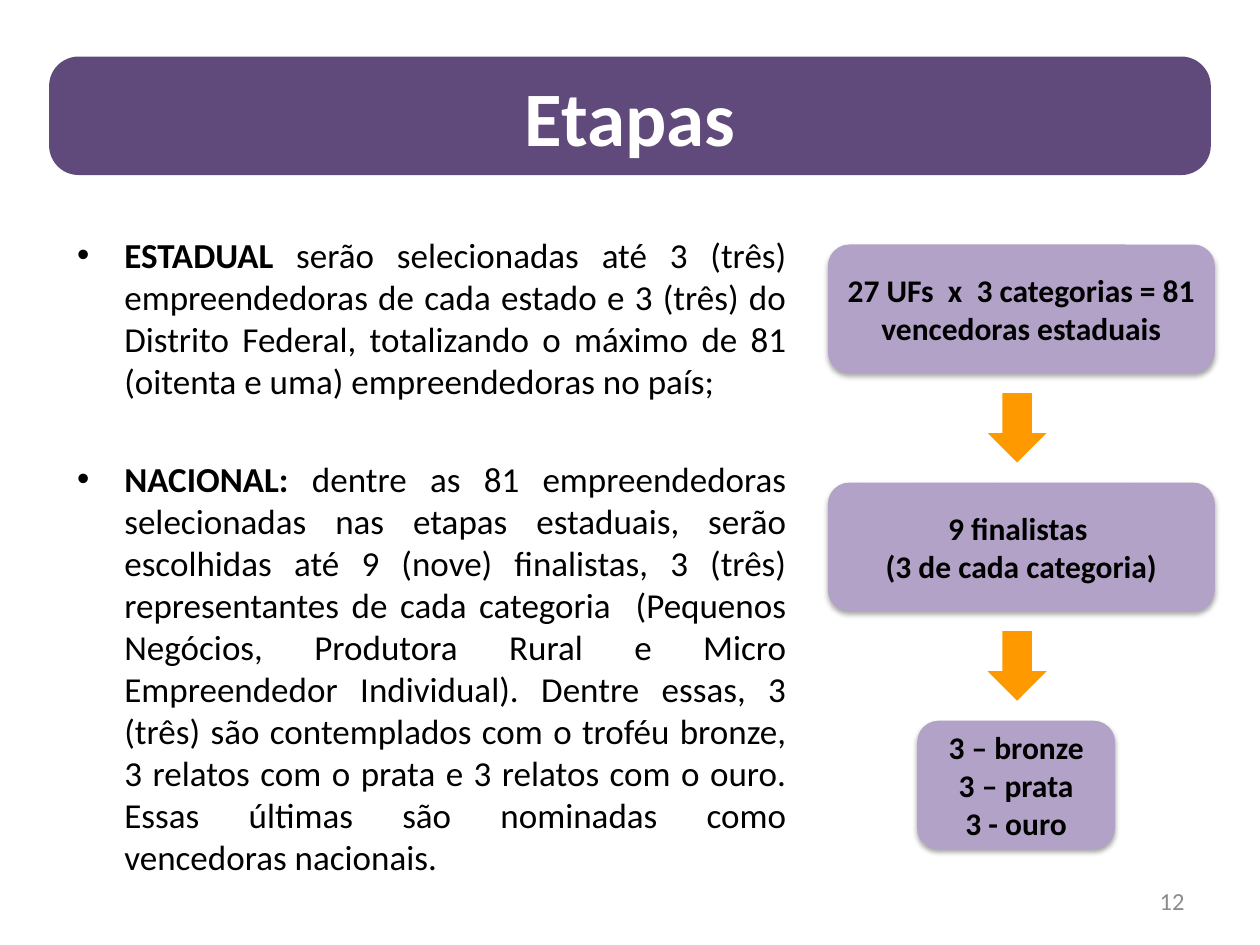
import pptx
import pptx.util
import pptx.dml.color
import pptx.enum.shapes
import pptx.enum.text
import pptx.oxml

Cm, Pt = pptx.util.Cm, pptx.util.Pt
RGBColor = pptx.dml.color.RGBColor
SHAPE = pptx.enum.shapes.MSO_SHAPE
ALIGN = pptx.enum.text.PP_ALIGN
ANCHOR = pptx.enum.text.MSO_ANCHOR

# Content
TITLE = "Etapas"
STAGES = [
    ("ESTADUAL", " serão selecionadas até 3 (três) empreendedoras de cada estado "
     "e 3 (três) do Distrito Federal, totalizando o máximo de 81 (oitenta e uma) "
     "empreendedoras no país;"),
    ("NACIONAL:", " dentre as 81 empreendedoras selecionadas nas etapas estaduais, "
     "serão escolhidas até 9 (nove) finalistas, 3 (três) representantes de cada "
     "categoria  (Pequenos Negócios, Produtora Rural e Micro Empreendedor "
     "Individual). Dentre essas, 3 (três) são contemplados com o troféu bronze, "
     "3 relatos com o prata e 3 relatos com o ouro. Essas últimas são nominadas "
     "como vencedoras nacionais."),
]
# Flow boxes: left and width in cm, lines
FLOW = [
    (16.69, 7.8, ["27 UFs  x  3 categorias = 81 vencedoras estaduais"]),
    (16.69, 7.8, ["9 finalistas ", "(3 de cada categoria)"]),
    (18.49, 3.99, ["3 – bronze", "3 – prata", "3 - ouro"]),
]
PAGE = "12"

# Style
FONT = "Calibri"
PURPLE = RGBColor(0x60, 0x4A, 0x7B)
LILAC = RGBColor(0xB3, 0xA2, 0xC7)
ORANGE = RGBColor(0xFF, 0x99, 0x00)
BLACK = RGBColor(0, 0, 0)
WHITE = RGBColor(0xFF, 0xFF, 0xFF)
GRAY = RGBColor(0x8C, 0x8C, 0x8C)
SHADOW = (
    '<a:outerShdw xmlns:a="http://schemas.openxmlformats.org/drawingml/2006/main" '
    'blurRad="39370" dist="22860" dir="5400000" rotWithShape="0">'
    '<a:srgbClr val="000000"><a:alpha val="35000"/></a:srgbClr></a:outerShdw>')

# Layout, in cm
BAR = (0.99, 1.14, 23.42, 2.39)
BODY = (1.3, 4.57, 14.81, 12.57)
NUMBER = (18.21, 17.65, 5.92, 1.02)
FLOW_TOP, FLOW_STEP, BOX_H = 4.93, 4.8, 2.59
ARROW_LEFT, ARROW_W, ARROW_H = 19.91, 1.19, 1.4
ARROW_GAP = (FLOW_STEP - BOX_H - ARROW_H) / 2


def place(sp, box):
    sp.left, sp.top, sp.width, sp.height = (Cm(v) for v in box)


def add_run(p, text, size, color, bold=False):
    r = p.add_run()
    r.text = text
    r.font.name, r.font.size, r.font.bold = FONT, Pt(size), bold
    r.font.color.rgb = color


def add_shape(s, kind, box, fill):
    sp = s.shapes.add_shape(kind, *(Cm(v) for v in box))
    sp.shadow.inherit = False
    sp.fill.solid()
    sp.fill.fore_color.rgb = fill
    sp.line.fill.background()
    return sp


def add_lines(tf, lines, size, color, align, bold=False):
    tf.word_wrap = True
    tf.vertical_anchor = ANCHOR.MIDDLE
    for i, line in enumerate(lines):
        p = tf.add_paragraph() if i else tf.paragraphs[0]
        p.alignment = align
        add_run(p, line, size, color, bold)


def main():
    prs = pptx.Presentation()
    prs.slide_width, prs.slide_height = Cm(25.4), Cm(19.05)
    s = prs.slides.add_slide(prs.slide_layouts[1])
    title, body = s.shapes.title, s.placeholders[1]

    # Title on its bar
    bar = add_shape(s, SHAPE.ROUNDED_RECTANGLE, BAR, PURPLE)
    bar.adjustments[0] = 0.25
    title.element.addprevious(bar.element)
    place(title, BAR)
    title.text_frame.auto_size = pptx.enum.text.MSO_AUTO_SIZE.NONE
    add_lines(title.text_frame, [TITLE], 44, WHITE, ALIGN.CENTER, True)

    # Stage list
    place(body, BODY)
    tf = body.text_frame
    tf.auto_size = pptx.enum.text.MSO_AUTO_SIZE.NONE
    for i, (name, text) in enumerate(STAGES):
        p = tf.add_paragraph() if i else tf.paragraphs[0]
        p.alignment = ALIGN.JUSTIFY
        p.space_before = Pt(32 if i else 0)
        add_run(p, name, 20, BLACK, True)
        add_run(p, text, 20, BLACK)

    # Flow of boxes with arrows between them
    for i, (left, width, lines) in enumerate(FLOW):
        top = FLOW_TOP + i * FLOW_STEP
        if i:
            add_shape(s, SHAPE.DOWN_ARROW,
                      (ARROW_LEFT, top - ARROW_GAP - ARROW_H, ARROW_W, ARROW_H), ORANGE)
        sp = add_shape(s, SHAPE.ROUNDED_RECTANGLE, (left, top, width, BOX_H), LILAC)
        effects = sp.element.spPr.find(pptx.oxml.ns.qn("a:effectLst"))
        effects.append(pptx.oxml.parse_xml(SHADOW))
        add_lines(sp.text_frame, lines, 18, BLACK, ALIGN.CENTER, True)

    # Page number
    number = s.shapes.add_textbox(*(Cm(v) for v in NUMBER))
    add_lines(number.text_frame, [PAGE], 14, GRAY, ALIGN.RIGHT)

    prs.save("out.pptx")


if __name__ == "__main__":
    main()
